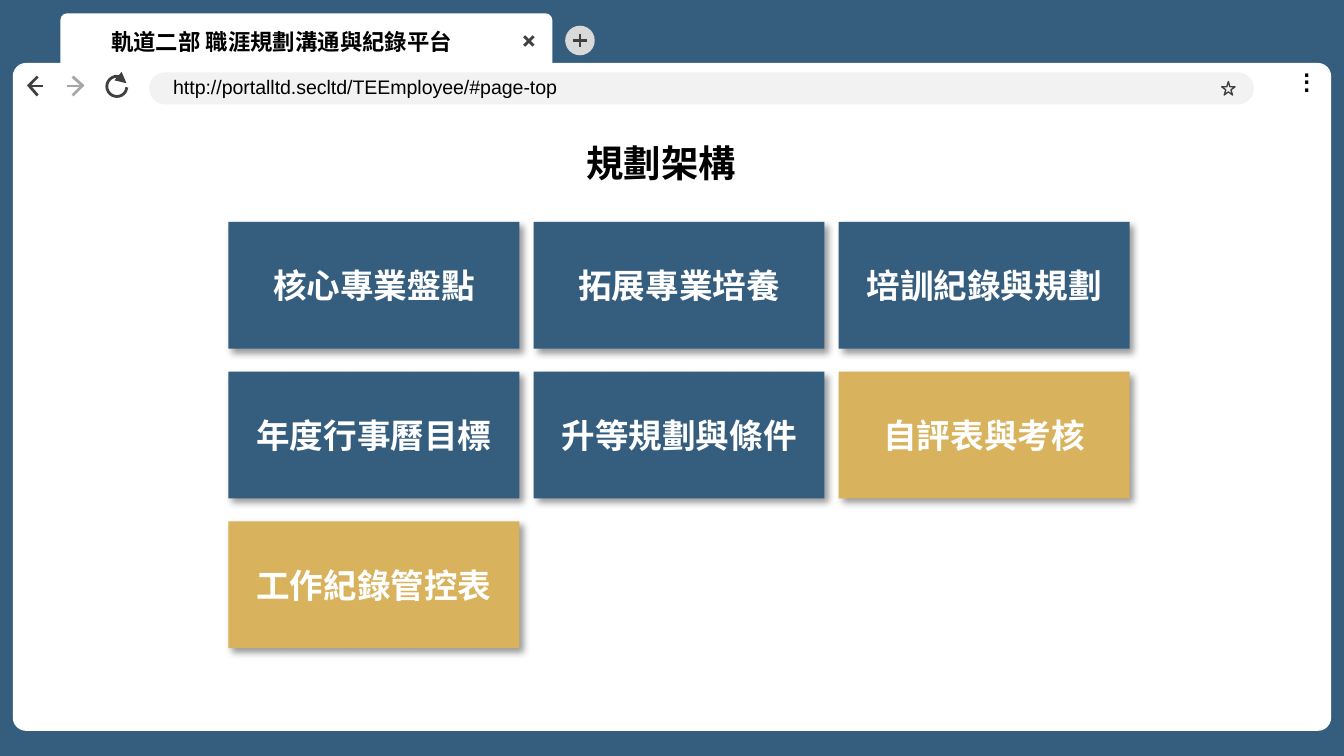
"""Build the browser-style slide that shows the planning modules of the career platform."""
from lxml import etree
from pptx import Presentation, util as u
from pptx.dml.color import RGBColor
from pptx.enum import shapes, text
from pptx.oxml import ns

THEME = {
    "blue": "355D7E", "gold": "D8B25C", "white": "FFFFFF", "black": "000000",
    "ink": "404040", "faded": "A6A6A6", "button": "D9D9D9", "field": "F2F2F2",
    "latin": "Arial", "cjk": "Noto Sans CJK SC",
    "heading": 20, "card": 18, "dots": 18, "tab": 12, "url": 10.5,
    "stroke": 1.5, "thin": 0.75,
}
CARDS = [
    ("核心專業盤點", "blue"), ("拓展專業培養", "blue"), ("培訓紀錄與規劃", "blue"),
    ("年度行事曆目標", "blue"), ("升等規劃與條件", "blue"), ("自評表與考核", "gold"),
    ("工作紀錄管控表", "gold"),
]
GRID = {"columns": 3, "left": 17, "top": 29.36, "width": 21.65, "height": 16.78,
        "across": 22.7, "down": 19.8}
PANELS = [
    ("RECTANGLE", (0, 0, 100, 100), "blue", None),
    ("ROUNDED_RECTANGLE", (4.5, 1.78, 36.6, 8.72), "white", 0.1),
    ("ROUNDED_RECTANGLE", (0.95, 8.33, 98.1, 88.36), "white", 0.02),
    ("ROUNDED_RECTANGLE", (11.1, 9.56, 82.2, 4.25), "field", 0.5),
]
PLUS_BUTTON = (42.05, 3.4, 2.2, 3.91)
RELOAD = (7.95, 10.1, 1.5, 2.67)
STAR = (90.9, 10.8, 1, 1.78)
ICONS = {
    "close": ("ink", [(39, 4.8, 39.7, 6.05), (39.7, 4.8, 39, 6.05)]),
    "plus": ("ink", [(43.15, 4.45, 43.15, 6.23), (43.7, 5.34, 42.6, 5.34)]),
    "back": ("ink", [(2.8, 10.14, 2.1, 11.39), (2.8, 12.63, 2.1, 11.21),
                     (3.2, 11.39, 2.3, 11.39)]),
    "forward": ("faded", [(5.4, 10.14, 6.2, 11.39), (5.4, 12.63, 6.2, 11.21),
                          (5, 11.39, 6, 11.39)]),
}
LABELS = [
    (".\n.\n.", (95.9, 9.25, 2.7, 5.69), "dots", "latin", False, 4),
    ("軌道二部 職涯規劃溝通與紀錄平台", (7.3, 2.9, 27.7, 5.34), "tab", "cjk", True, None),
    ("http://portalltd.secltd/TEEmployee/#page-top", (11.9, 9.07, 31.1, 4.98),
     "url", "latin", False, None),
    ("規劃架構", (42.65, 17.67, 13.2, 7.83), "heading", "cjk", True, None),
]

presentation = Presentation()
presentation.slide_width = u.Inches(10)
presentation.slide_height = presentation.slide_width * 9 // 16
slide = presentation.slides.add_slide(presentation.slide_layouts[6])


def place(box):
    sides = (presentation.slide_width, presentation.slide_height) * 2
    return [round(side * share / 100) for side, share in zip(sides, box)]


def color(name):
    return RGBColor.from_string(THEME[name])


def add_element(parent, tag, **attributes):
    return etree.SubElement(parent, ns.qn(tag), attributes)


def add_panel(parent, kind, box, fill=None, line=None, width=0):
    shape = parent.shapes.add_shape(shapes.MSO_SHAPE[kind], *place(box))
    shape.shadow.inherit = False
    if fill:
        shape.fill.solid()
        shape.fill.fore_color.rgb = color(fill)
    else:
        shape.fill.background()
    if line:
        shape.line.color.rgb = color(line)
        shape.line.width = u.Pt(width)
    else:
        shape.line.fill.background()
    return shape


def add_strokes(parent, name):
    ink, strokes = ICONS[name]
    for stroke in strokes:
        line = parent.shapes.add_connector(shapes.MSO_CONNECTOR.STRAIGHT, *place(stroke))
        line.line.color.rgb = color(ink)
        line.line.width = u.Pt(THEME["stroke"])
        add_element(line._element.spPr, "a:effectLst")


def write(shape, wording, size, font, ink, bold, align=None, spacing=None):
    shape.text_frame.text = wording
    for paragraph in shape.text_frame.paragraphs:
        paragraph.alignment = align
        if spacing:
            paragraph.line_spacing = u.Pt(spacing)
        for run in paragraph.runs:
            run.font.size = u.Pt(THEME[size])
            run.font.bold = bold
            run.font.color.rgb = color(ink)
            run.font.name = THEME[font]
            add_element(run.font._element, "a:ea", typeface=THEME[font])


def add_shadow(shape):
    effects = shape._element.spPr.find(ns.qn("a:effectLst"))
    shadow = add_element(effects, "a:outerShdw", blurRad=str(u.Pt(4)), dist=str(u.Pt(3)),
                         dir="2700000", algn="tl", rotWithShape="0")
    tint = add_element(shadow, "a:srgbClr", val=THEME["black"])
    add_element(tint, "a:alpha", val="40000")


def add_card(index, wording, fill):
    row, column = divmod(index, GRID["columns"])
    box = (GRID["left"] + column * GRID["across"], GRID["top"] + row * GRID["down"],
           GRID["width"], GRID["height"])
    card = add_panel(slide, "RECTANGLE", box, fill)
    add_shadow(card)
    card.text_frame.vertical_anchor = text.MSO_ANCHOR.MIDDLE
    write(card, wording, "card", "latin", "white", True, text.PP_ALIGN.CENTER)


for kind, box, fill, rounding in PANELS:
    panel = add_panel(slide, kind, box, fill)
    if rounding:
        panel.adjustments[0] = rounding

for name in ICONS:
    group = slide.shapes.add_group_shape()
    if name == "plus":
        add_panel(group, "OVAL", PLUS_BUTTON, "button")
    add_strokes(group, name)

reload_arc = add_panel(slide, "ARC", RELOAD, line="ink", width=THEME["stroke"])
reload_arc.adjustments[0], reload_arc.adjustments[1] = 2.91, 205.09
add_element(reload_arc.line._get_or_add_ln(), "a:tailEnd", type="triangle")
add_panel(slide, "STAR_5_POINT", STAR, line="ink", width=THEME["thin"])

for wording, box, size, font, bold, spacing in LABELS:
    label = slide.shapes.add_textbox(*place(box))
    label.text_frame.word_wrap = False
    label.text_frame.auto_size = text.MSO_AUTO_SIZE.SHAPE_TO_FIT_TEXT
    write(label, wording, size, font, "black", bold, spacing=spacing)

for index, (wording, fill) in enumerate(CARDS):
    add_card(index, wording, fill)

presentation.save("out.pptx")
